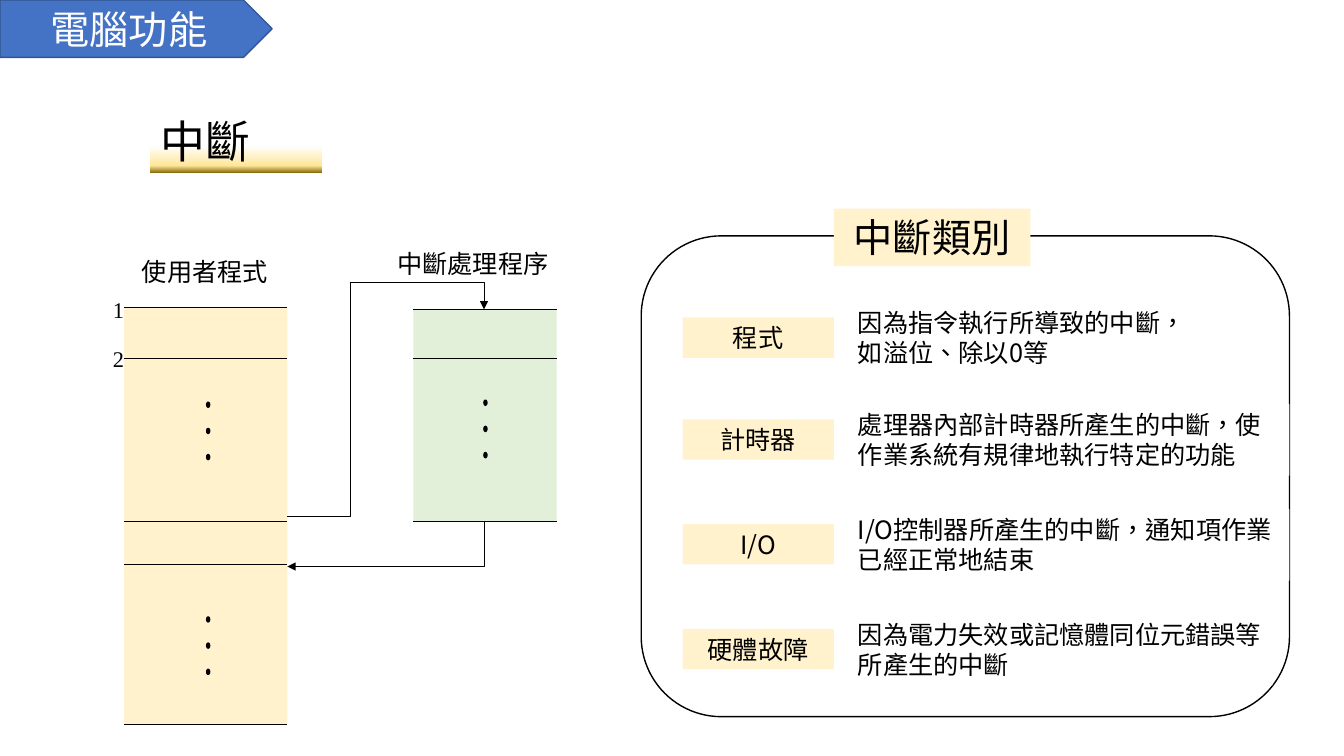
from copy import deepcopy
from lxml.etree import SubElement
from pptx import Presentation
from pptx.dml.color import RGBColor
from pptx.enum.shapes import MSO_CONNECTOR, MSO_SHAPE
from pptx.enum.text import MSO_ANCHOR, MSO_AUTO_SIZE, PP_ALIGN
from pptx.oxml.ns import qn
from pptx.util import Emu, Pt

PX = 9144
SANS = "Noto Sans CJK SC"
SERIF = "Times New Roman"
COLORS = {
    "black": "000000", "white": "FFFFFF", "blue": "4472C4", "navy": "325491",
    "cream": "FFF2CC", "green": "E2F0D9", "brown": "806000", "gold": "FFE699",
}


def add_box(kind, left, top, width, height, fill=None, line=None):
    box = slide.shapes.add_shape(kind, *[Emu(n * PX) for n in (left, top, width, height)])
    box.shadow.inherit = False
    if fill:
        box.fill.solid()
        box.fill.fore_color.rgb = RGBColor.from_string(COLORS[fill])
    else:
        box.fill.background()
    if line:
        box.line.color.rgb = RGBColor.from_string(COLORS[line])
        box.line.width = Pt(1)
    else:
        box.line.fill.background()
    return box


def write(box, text, size, align=PP_ALIGN.LEFT, font=SANS, color="black", wrap=True):
    frame = box.text_frame
    frame.word_wrap = wrap
    frame.auto_size = MSO_AUTO_SIZE.SHAPE_TO_FIT_TEXT
    frame.vertical_anchor = MSO_ANCHOR.TOP
    paragraph = frame.paragraphs[0]
    paragraph.alignment = align
    paragraph.line_spacing = 1.0
    run = paragraph.add_run()
    run.text = text
    run.font.size = Pt(size)
    run.font.name = font
    run.font.color.rgb = RGBColor.from_string(COLORS[color])
    run.font._element.set("lang", "zh-TW")
    SubElement(run.font._element, qn("a:ea")).set("typeface", font)


deck = Presentation()
deck.slide_width = Emu(1333 * PX)
deck.slide_height = Emu(750 * PX)
slide = deck.slides.add_slide(deck.slide_layouts[5])

add_box(MSO_SHAPE.ROUNDED_RECTANGLE, 636, 234, 643, 477, line="black")

heading = slide.shapes.title
heading.left, heading.top, heading.width, heading.height = [
    Emu(n * PX) for n in (149, 108, 170, 64)]
heading.fill.gradient()
heading.fill.gradient_angle = 90
stop_list = heading._element.spPr.find(".//" + qn("a:gsLst"))
stop_list.append(deepcopy(stop_list[0]))
heading_stops = [(0, "brown"), (0.12, "gold"), (0.43, "white")]
for stop, (position, color) in zip(heading.fill.gradient_stops, heading_stops):
    stop.position = position
    stop.color.rgb = RGBColor.from_string(COLORS[color])
write(heading, "中斷", 32)
heading.text_frame.auto_size = MSO_AUTO_SIZE.NONE

chapter = add_box(MSO_SHAPE.PENTAGON, 0, 0, 270, 57, "blue", "navy")
write(chapter, "電腦功能", 28, PP_ALIGN.CENTER, color="white")
chapter.text_frame.auto_size = MSO_AUTO_SIZE.NONE
chapter.text_frame.vertical_anchor = MSO_ANCHOR.MIDDLE

programs = [
    (123, 162, "cream", [305, 356, 517, 560, 719], 205, [399, 612]),
    (410, 142, "green", [307, 356, 517], 480, [397]),
]
rules = []
for left, width, fill, rule_tops, dot_left, dot_tops in programs:
    add_box(MSO_SHAPE.RECTANGLE, left, rule_tops[0], width, rule_tops[-1] - rule_tops[0], fill)
    for top in rule_tops:
        rules.append(slide.shapes.add_connector(
            MSO_CONNECTOR.STRAIGHT,
            *[Emu(n * PX) for n in (left, top, left + width, top)]))
    for first_top in dot_tops:
        for step in range(3):
            add_box(MSO_SHAPE.OVAL, dot_left, first_top + 26 * step, 3, 5, "black", "black")

jumps = [
    ("bentConnector4", (285, 512, 480, 307), 0, [31900, 113100]),
    ("bentConnector2", (360, 442, 405, 637), 90, []),
]
for preset, ends, degrees, bends in jumps:
    jump = slide.shapes.add_connector(MSO_CONNECTOR.ELBOW, *[Emu(n * PX) for n in ends])
    properties = jump._element.spPr
    properties.find(qn("a:xfrm")).set("rot", str(degrees * 60000))
    geometry = properties.find(qn("a:prstGeom"))
    geometry.set("prst", preset)
    for number, bend in enumerate(bends, 1):
        guide = SubElement(geometry.find(qn("a:avLst")), qn("a:gd"))
        guide.set("name", f"adj{number}")
        guide.set("fmla", f"val {bend}")
    SubElement(jump.line._get_or_add_ln(), qn("a:tailEnd")).set("type", "triangle")
    rules.append(jump)

for rule in rules:
    rule.line.color.rgb = RGBColor.from_string(COLORS["black"])
    rule.line.width = Pt(0.5)
    SubElement(rule._element.spPr, qn("a:effectLst"))

captions = [
    ("1", 102, 289, 31, 37, 16, SERIF, PP_ALIGN.LEFT, False),
    ("2", 102, 337, 31, 37, 16, SERIF, PP_ALIGN.LEFT, False),
    ("使用者程式", 131, 249, 146, 40, 18, SANS, PP_ALIGN.LEFT, False),
    ("中斷處理程序", 379, 241, 180, 40, 18, SANS, PP_ALIGN.CENTER, True),
]
for text, left, top, width, height, size, font, align, wrap in captions:
    caption = slide.shapes.add_textbox(*[Emu(n * PX) for n in (left, top, width, height)])
    write(caption, text, size, align, font, wrap=wrap)

classes_heading = add_box(MSO_SHAPE.RECTANGLE, 827, 207, 195, 57, "cream")
write(classes_heading, "中斷類別", 28, PP_ALIGN.CENTER)

interrupts = [
    (315, "程式", 338, "因為指令執行所導致的中斷，如溢位、除以0等"),
    (416, "計時器", 438, "處理器內部計時器所產生的中斷，使作業系統有規律地執行特定的功能"),
    (520, "I/O", 438, "I/O控制器所產生的中斷，通知項作業已經正常地結束"),
    (624, "硬體故障", 421, "因為電力失效或記憶體同位元錯誤等所產生的中斷"),
]
for top, name, width, cause in interrupts:
    write(add_box(MSO_SHAPE.RECTANGLE, 677, top, 150, 40, "cream"), name, 18, PP_ALIGN.CENTER)
    write(add_box(MSO_SHAPE.RECTANGLE, 841, top - 15, width, 71, "white"), cause, 18)

deck.save("out.pptx")
